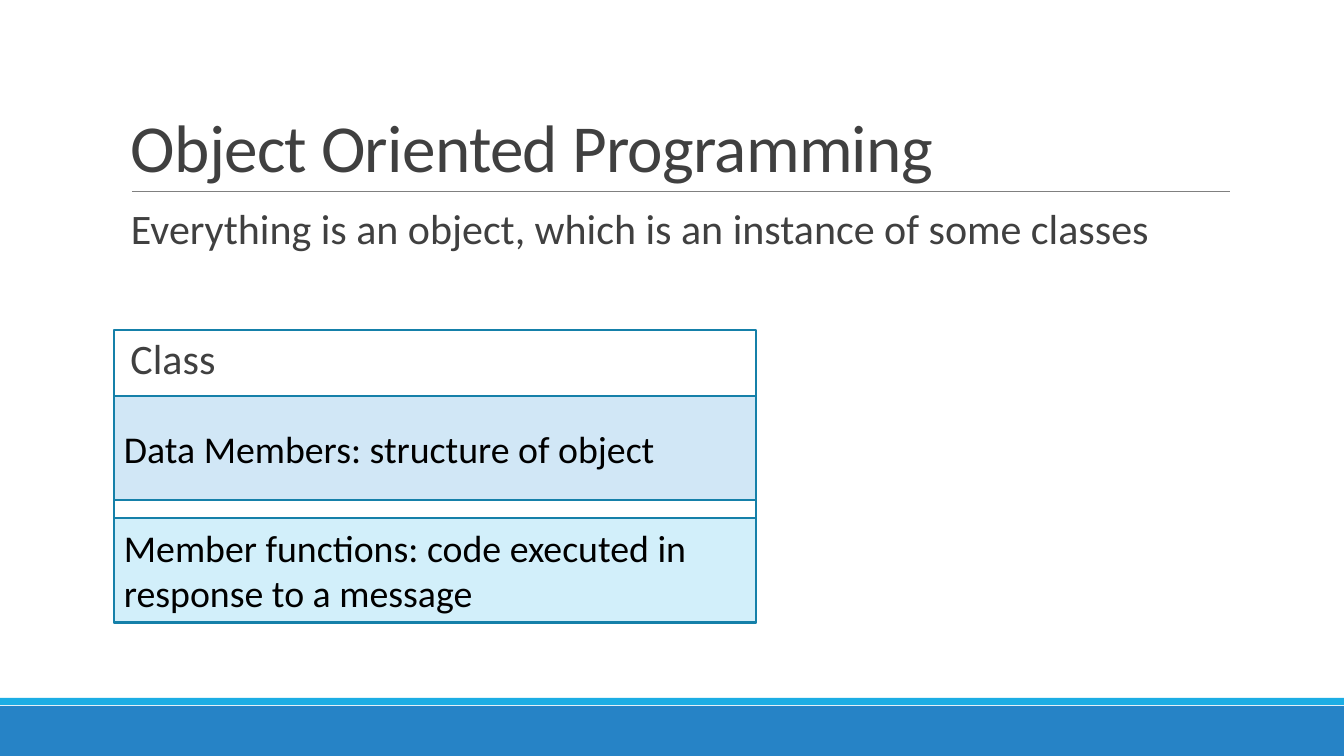
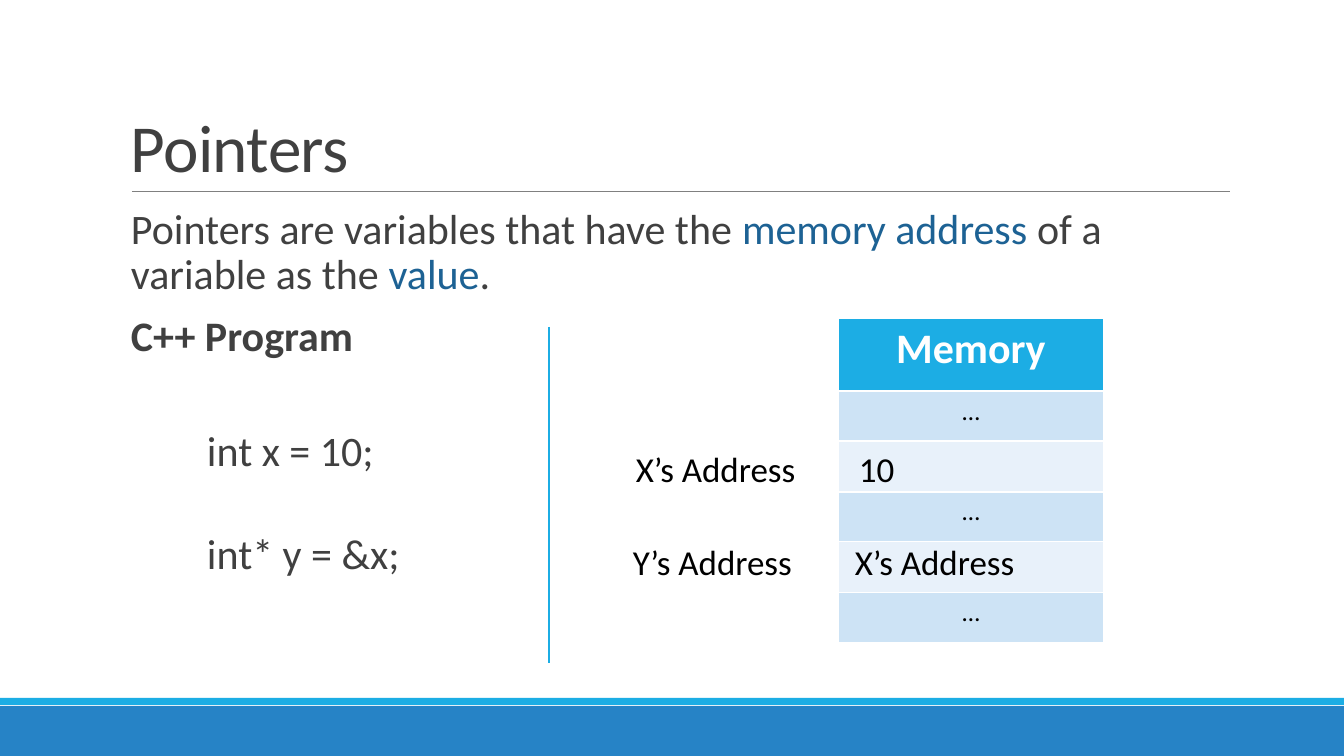
from dataclasses import dataclass

import pptx
import pptx.dml.color
import pptx.enum.shapes
import pptx.enum.text
import pptx.oxml.ns
import pptx.presentation
import pptx.slide
import pptx.text.text
import pptx.util
from lxml import etree

RGBColor = pptx.dml.color.RGBColor
ALIGN = pptx.enum.text.PP_ALIGN
ANCHOR = pptx.enum.text.MSO_ANCHOR

# Shared look
EMU_PER_INCH = 914400
PIXELS_PER_INCH = 100.8
SLIDE_WIDTH, SLIDE_HEIGHT = 1344, 756
FONT = "Calibri"
TITLE_SIZE, BODY_SIZE, MEMBER_SIZE, LABEL_SIZE, ELLIPSIS_SIZE = 48, 30, 27, 25, 18
BODY_INDENT = 10

BLACK = RGBColor(0x00, 0x00, 0x00)
WHITE = RGBColor(0xFF, 0xFF, 0xFF)
DARK_GRAY = RGBColor(0x40, 0x40, 0x40)
RULE_GRAY = RGBColor(0x80, 0x80, 0x80)
BAND_BLUE = RGBColor(0x26, 0x83, 0xC6)
CYAN = RGBColor(0x1C, 0xAD, 0xE4)
KEYWORD_BLUE = RGBColor(0x1D, 0x62, 0x94)
OUTLINE_BLUE = RGBColor(0x15, 0x80, 0xA9)
DATA_FILL = RGBColor(0xD1, 0xE7, 0xF6)
FUNCTION_FILL = RGBColor(0xD2, 0xEF, 0xFA)
ROW_DARK = RGBColor(0xCD, 0xE3, 0xF5)
ROW_LIGHT = RGBColor(0xE8, 0xF1, 0xFA)


@dataclass(frozen=True)
class Box:
    left: int
    top: int
    width: int
    height: int

    def emu(self) -> tuple[int, int, int, int]:
        return px(self.left), px(self.top), px(self.width), px(self.height)


@dataclass(frozen=True)
class Span:
    text: str
    color: RGBColor = DARK_GRAY
    bold: bool = False


@dataclass(frozen=True)
class Panel:
    box: Box
    fill: RGBColor | None = None
    outline: RGBColor | None = None
    text: str = ""


@dataclass(frozen=True)
class BodyText:
    box: Box
    spans: tuple[Span, ...]


@dataclass(frozen=True)
class Label:
    box: Box
    text: str


@dataclass(frozen=True)
class MemoryRow:
    height: int
    fill: RGBColor
    span: Span | None = None
    size: int = ELLIPSIS_SIZE


TITLE_BOX = Box(121, 31, 1109, 160)
BODY_BOX = Box(121, 203, 1109, 443)
BANDS = (
    Panel(Box(0, 706, SLIDE_WIDTH, 50), BAND_BLUE),
    Panel(Box(0, 698, SLIDE_WIDTH, 7), CYAN),
)


def px(pixels: int) -> int:
    return pptx.util.Emu(round(pixels * EMU_PER_INCH / PIXELS_PER_INCH))


# Drawing functions
def add_span(paragraph: pptx.text.text._Paragraph, span: Span, size: int) -> pptx.text.text._Run:
    run = paragraph.add_run()
    run.text = span.text
    run.font.name = FONT
    run.font.size = pptx.util.Pt(size)
    run.font.bold = span.bold
    run.font.color.rgb = span.color
    return run


def add_frame(slide: pptx.slide.Slide, box: Box) -> pptx.text.text.TextFrame:
    frame = slide.shapes.add_textbox(*box.emu()).text_frame
    frame.word_wrap = True
    return frame


def add_body_paragraph(paragraph: pptx.text.text._Paragraph, spans: tuple[Span, ...],
                       space_before: int = 12) -> None:
    paragraph.line_spacing = 0.9
    paragraph.space_before = pptx.util.Pt(space_before)
    paragraph.space_after = pptx.util.Pt(2)
    for span in spans:
        add_span(paragraph, span, BODY_SIZE)


def add_blank_bullet(paragraph: pptx.text.text._Paragraph) -> None:
    properties = paragraph._p.get_or_add_pPr()
    properties.set("marL", str(px(BODY_INDENT)))
    properties.set("indent", str(-px(BODY_INDENT)))
    etree.SubElement(properties, pptx.oxml.ns.qn("a:buFont"), typeface=FONT)
    etree.SubElement(properties, pptx.oxml.ns.qn("a:buChar"), char=" ")


def add_body(slide: pptx.slide.Slide, body: BodyText) -> pptx.text.text.TextFrame:
    frame = add_frame(slide, body.box)
    frame.margin_left = frame.margin_right = 0
    add_body_paragraph(frame.paragraphs[0], body.spans)
    add_blank_bullet(frame.paragraphs[0])
    return frame


def add_label(slide: pptx.slide.Slide, label: Label) -> None:
    frame = add_frame(slide, label.box)
    add_span(frame.paragraphs[0], Span(label.text, BLACK), LABEL_SIZE)


def add_panel(slide: pptx.slide.Slide, panel: Panel) -> None:
    rectangle = slide.shapes.add_shape(pptx.enum.shapes.MSO_SHAPE.RECTANGLE, *panel.box.emu())
    rectangle.shadow.inherit = False
    if panel.fill is None:
        rectangle.fill.background()
    else:
        rectangle.fill.solid()
        rectangle.fill.fore_color.rgb = panel.fill
    if panel.outline is None:
        rectangle.line.fill.background()
    else:
        rectangle.line.color.rgb = panel.outline
        rectangle.line.width = pptx.util.Pt(1.25)
    if panel.text:
        frame = rectangle.text_frame
        frame.word_wrap = True
        frame.vertical_anchor = ANCHOR.MIDDLE
        frame.paragraphs[0].alignment = ALIGN.LEFT
        add_span(frame.paragraphs[0], Span(panel.text, BLACK), MEMBER_SIZE)


def add_line(slide: pptx.slide.Slide, start: tuple[int, int], end: tuple[int, int],
             color: RGBColor, width: float) -> None:
    line = slide.shapes.add_connector(
        pptx.enum.shapes.MSO_CONNECTOR.STRAIGHT, *map(px, start + end))
    line.line.color.rgb = color
    line.line.width = pptx.util.Pt(width)
    etree.SubElement(line._element.spPr, pptx.oxml.ns.qn("a:effectLst"))


def add_memory_table(slide: pptx.slide.Slide, left: int, top: int, width: int,
                     rows: tuple[MemoryRow, ...]) -> None:
    box = Box(left, top, width, sum(row.height for row in rows))
    table = slide.shapes.add_table(len(rows), 1, *box.emu()).table
    for index, row in enumerate(rows):
        table.rows[index].height = px(row.height)
        cell = table.cell(index, 0)
        cell.fill.solid()
        cell.fill.fore_color.rgb = row.fill
        if row.span:
            paragraph = cell.text_frame.paragraphs[0]
            paragraph.alignment = ALIGN.CENTER
            add_span(paragraph, row.span, row.size)


def add_titled_slide(deck: pptx.presentation.Presentation, title: str) -> pptx.slide.Slide:
    slide = deck.slides.add_slide(deck.slide_layouts[6])
    for band in BANDS:
        add_panel(slide, band)
    add_line(slide, (132, 191), (1230, 191), RULE_GRAY, 0.5)
    frame = add_frame(slide, TITLE_BOX)
    frame.vertical_anchor = ANCHOR.BOTTOM
    frame.paragraphs[0].line_spacing = 0.85
    run = add_span(frame.paragraphs[0], Span(title), TITLE_SIZE)
    run._r.get_or_add_rPr().set("spc", "-50")
    return slide


# Slide 1: a class and its members
CLASS_PANELS = (
    Panel(Box(114, 330, 642, 293), outline=OUTLINE_BLUE),
    Panel(Box(114, 396, 642, 104), DATA_FILL, OUTLINE_BLUE,
          "Data Members: structure of object"),
    Panel(Box(114, 518, 642, 104), FUNCTION_FILL, OUTLINE_BLUE,
          "Member functions: code executed in response to a message"),
)


def build_oop_slide(deck: pptx.presentation.Presentation) -> None:
    slide = add_titled_slide(deck, "Object Oriented Programming")
    statement = Span("Everything is an object, which is an instance of some classes")
    body = add_body(slide, BodyText(BODY_BOX, (statement,)))
    add_body_paragraph(body.add_paragraph(), (Span(" Class"),), space_before=59)
    for panel in CLASS_PANELS:
        add_panel(slide, panel)


# Slide 2: a program beside its memory
POINTER_TEXTS = (
    BodyText(BODY_BOX, (
        Span("Pointers are variables that have the "),
        Span("memory address", KEYWORD_BLUE),
        Span(" of a variable as the "),
        Span("value", KEYWORD_BLUE),
        Span("."),
    )),
    BodyText(Box(121, 310, 339, 92), (Span("C++ Program", bold=True),)),
    BodyText(Box(197, 425, 339, 92), (Span("int x = 10;"),)),
    BodyText(Box(197, 528, 339, 92), (Span("int* y = &x;"),)),
)
MEMORY_LABELS = (
    Label(Box(626, 443, 200, 52), "X’s Address"),
    Label(Box(849, 443, 200, 52), "10"),
    Label(Box(623, 536, 200, 52), "Y’s Address"),
    Label(Box(845, 536, 200, 52), "X’s Address"),
)
ELLIPSIS_ROW = MemoryRow(50, ROW_DARK, Span("…", BLACK))
VALUE_ROW = MemoryRow(51, ROW_LIGHT)
MEMORY_ROWS = (
    MemoryRow(73, CYAN, Span("Memory", WHITE, bold=True), BODY_SIZE),
    ELLIPSIS_ROW,
    VALUE_ROW,
    ELLIPSIS_ROW,
    VALUE_ROW,
    ELLIPSIS_ROW,
)


def build_pointers_slide(deck: pptx.presentation.Presentation) -> None:
    slide = add_titled_slide(deck, "Pointers")
    for body in POINTER_TEXTS:
        add_body(slide, body)
    add_memory_table(slide, 838, 318, 266, MEMORY_ROWS)
    for label in MEMORY_LABELS:
        add_label(slide, label)
    add_line(slide, (549, 327), (549, 663), CYAN, 1)


presentation = pptx.Presentation()
presentation.slide_width = px(SLIDE_WIDTH)
presentation.slide_height = px(SLIDE_HEIGHT)
build_oop_slide(presentation)
build_pointers_slide(presentation)
presentation.save("out.pptx")
